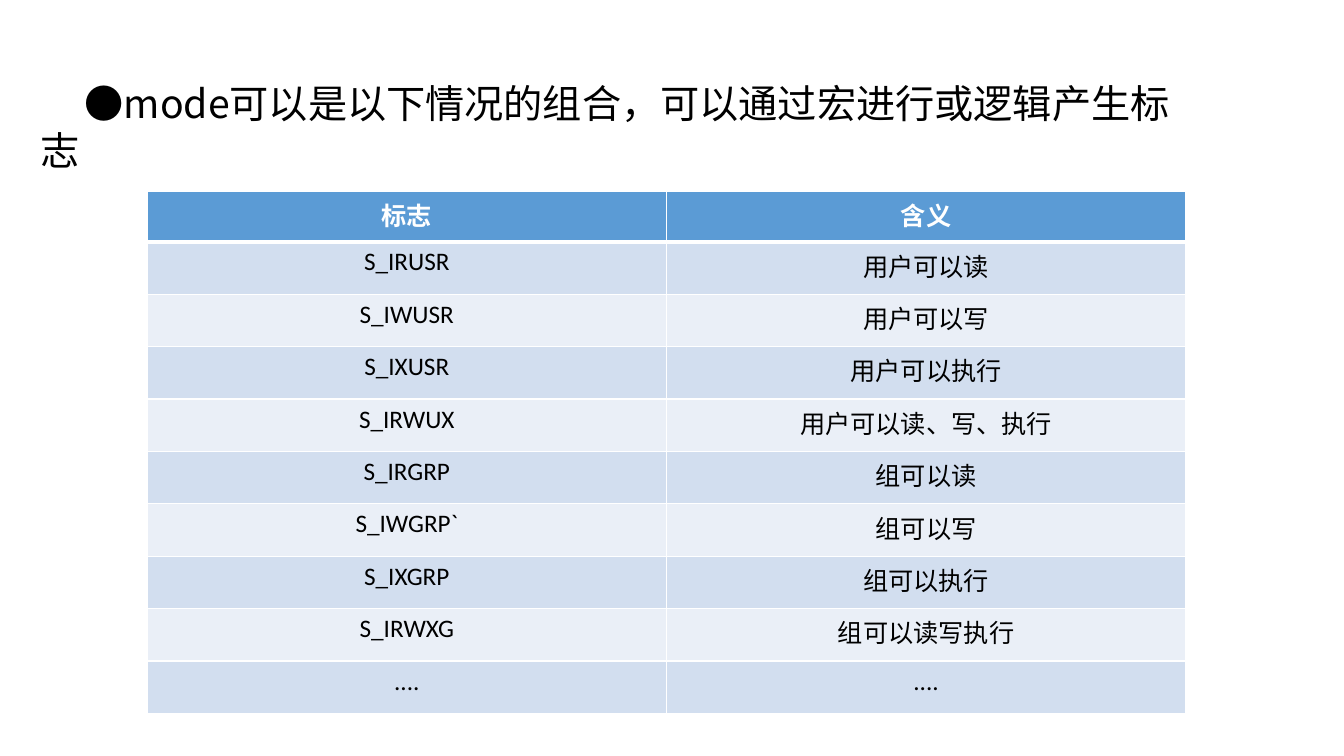
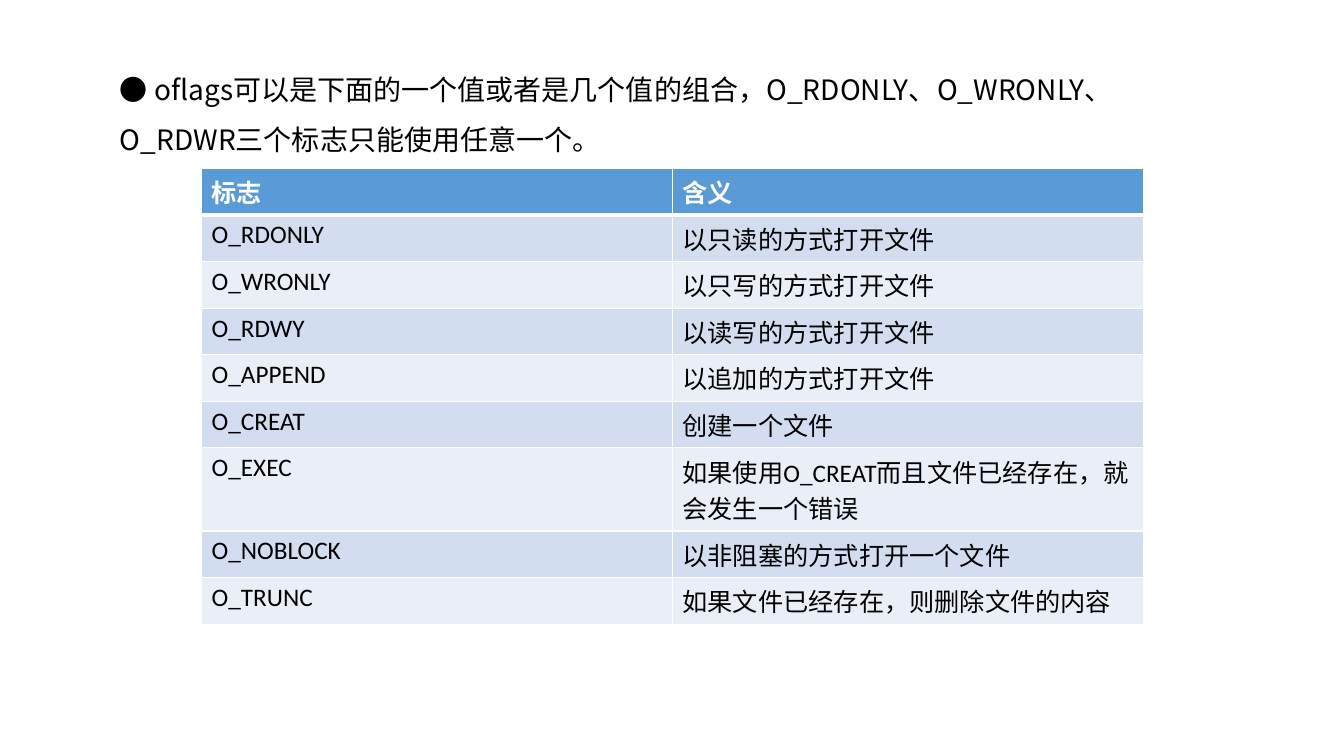
"""Build two slides that list the mode and oflags constants in tables."""
from lxml.etree import SubElement
from pptx import Presentation
from pptx.dml.color import RGBColor
from pptx.enum.text import MSO_ANCHOR, MSO_AUTO_SIZE, PP_ALIGN
from pptx.oxml.ns import qn
from pptx.util import Inches, Pt

BLACK = RGBColor(0x00, 0x00, 0x00)
WHITE = RGBColor(0xFF, 0xFF, 0xFF)
HEADER_BLUE = RGBColor(0x5B, 0x9B, 0xD5)
BANDS = (RGBColor(0xD2, 0xDE, 0xEF), RGBColor(0xEA, 0xEF, 0xF7))
CJK_FONT = "Noto Sans CJK SC"
TABLE_FONT = "Calibri"
HEADER = ("标志", "含义")

SLIDES = [
    {
        "title": "●mode可以是以下情况的组合，可以通过宏进行或逻辑产生标志",
        "title_box": (0.3, 0.74, 11.71, 1.04),
        "title_size": 28, "title_pitch": 33.6, "title_indent": 0.44,
        "table_at": (1.46, 1.9), "col_width": 5.15,
        "header_height": 0.5, "row_height": 0.52, "align": PP_ALIGN.CENTER,
        "rows": [
            ("S_IRUSR", "用户可以读"),
            ("S_IWUSR", "用户可以写"),
            ("S_IXUSR", "用户可以执行"),
            ("S_IRWUX", "用户可以读、写、执行"),
            ("S_IRGRP", "组可以读"),
            ("S_IWGRP`", "组可以写"),
            ("S_IXGRP", "组可以执行"),
            ("S_IRWXG", "组可以读写执行"),
            ("....", "...."),
        ],
    },
    {
        "title": "● oflags可以是下面的一个值或者是几个值的组合，"
                 "O_RDONLY、O_WRONLY、O_RDWR三个标志只能使用任意一个。",
        "title_box": (1.09, 0.5, 11.1, 1.15),
        "title_size": 20, "title_pitch": 36, "title_indent": 0,
        "table_at": (2, 1.67), "col_width": 4.67,
        "header_height": 0.42, "row_height": 0.42, "align": PP_ALIGN.LEFT,
        "rows": [
            ("O_RDONLY", "以只读的方式打开文件"),
            ("O_WRONLY", "以只写的方式打开文件"),
            ("O_RDWY", "以读写的方式打开文件"),
            ("O_APPEND", "以追加的方式打开文件"),
            ("O_CREAT", "创建一个文件"),
            ("O_EXEC", "如果使用O_CREAT而且文件已经存在，就会发生一个错误"),
            ("O_NOBLOCK", "以非阻塞的方式打开一个文件"),
            ("O_TRUNC", "如果文件已经存在，则删除文件的内容"),
        ],
    },
]


def write(tf, text, size=18, font=TABLE_FONT, color=BLACK, bold=False,
          align=PP_ALIGN.LEFT, pitch=None, indent=0):
    """Put one formatted paragraph into a text frame."""
    p = tf.paragraphs[0]
    p.alignment = align
    if pitch:
        p.line_spacing = Pt(pitch)
    if indent:
        p._p.get_or_add_pPr().set("indent", str(Inches(indent)))
    r = p.add_run()
    r.text = text
    r.font.size = Pt(size)
    r.font.name = font
    r.font.bold = bold
    r.font.color.rgb = color
    SubElement(r._r.get_or_add_rPr(), qn("a:ea"), typeface=CJK_FONT)


def set_borders(cell, top=1, bottom=1):
    """Draw white borders around a cell, with widths in points."""
    tcPr = cell._tc.get_or_add_tcPr()
    for side, width in (("L", 1), ("R", 1), ("T", top), ("B", bottom)):
        ln = SubElement(tcPr, qn(f"a:ln{side}"), w=str(Pt(width)))
        fill = SubElement(ln, qn("a:solidFill"))
        SubElement(fill, qn("a:srgbClr"), val=str(WHITE))


def add_title(s, data):
    """Place and format the title placeholder."""
    sp = s.shapes.title
    sp.left, sp.top, sp.width, sp.height = map(Inches, data["title_box"])
    tf = sp.text_frame
    tf.word_wrap = True
    tf.auto_size = MSO_AUTO_SIZE.NONE
    tf.vertical_anchor = MSO_ANCHOR.TOP
    write(tf, data["title"], size=data["title_size"], font=CJK_FONT,
          pitch=data["title_pitch"], indent=data["title_indent"])


def add_flag_table(s, data):
    """Add the banded table of flags and meanings."""
    rows = [HEADER, *data["rows"]]
    left, top = map(Inches, data["table_at"])
    width = Inches(data["col_width"] * len(HEADER))
    height = Inches(data["header_height"] + data["row_height"] * len(data["rows"]))
    table = s.shapes.add_table(len(rows), len(HEADER), left, top, width, height).table
    table.horz_banding = False
    for col in table.columns:
        col.width = Inches(data["col_width"])
    for i, row in enumerate(rows):
        is_header = i == 0
        table.rows[i].height = Inches(data["header_height" if is_header else "row_height"])
        for j, text in enumerate(row):
            cell = table.cell(i, j)
            set_borders(cell, top=3 if i == 1 else 1, bottom=3 if is_header else 1)
            cell.fill.solid()
            cell.fill.fore_color.rgb = HEADER_BLUE if is_header else BANDS[(i - 1) % 2]
            write(cell.text_frame, text, color=WHITE if is_header else BLACK,
                  bold=is_header, align=data["align"])


def main():
    """Build and save the presentation."""
    prs = Presentation()
    prs.slide_width, prs.slide_height = Inches(13.33), Inches(7.5)
    title_only = prs.slide_layouts[5]
    for data in SLIDES:
        s = prs.slides.add_slide(title_only)
        add_title(s, data)
        add_flag_table(s, data)
    prs.save("out.pptx")


if __name__ == "__main__":
    main()
